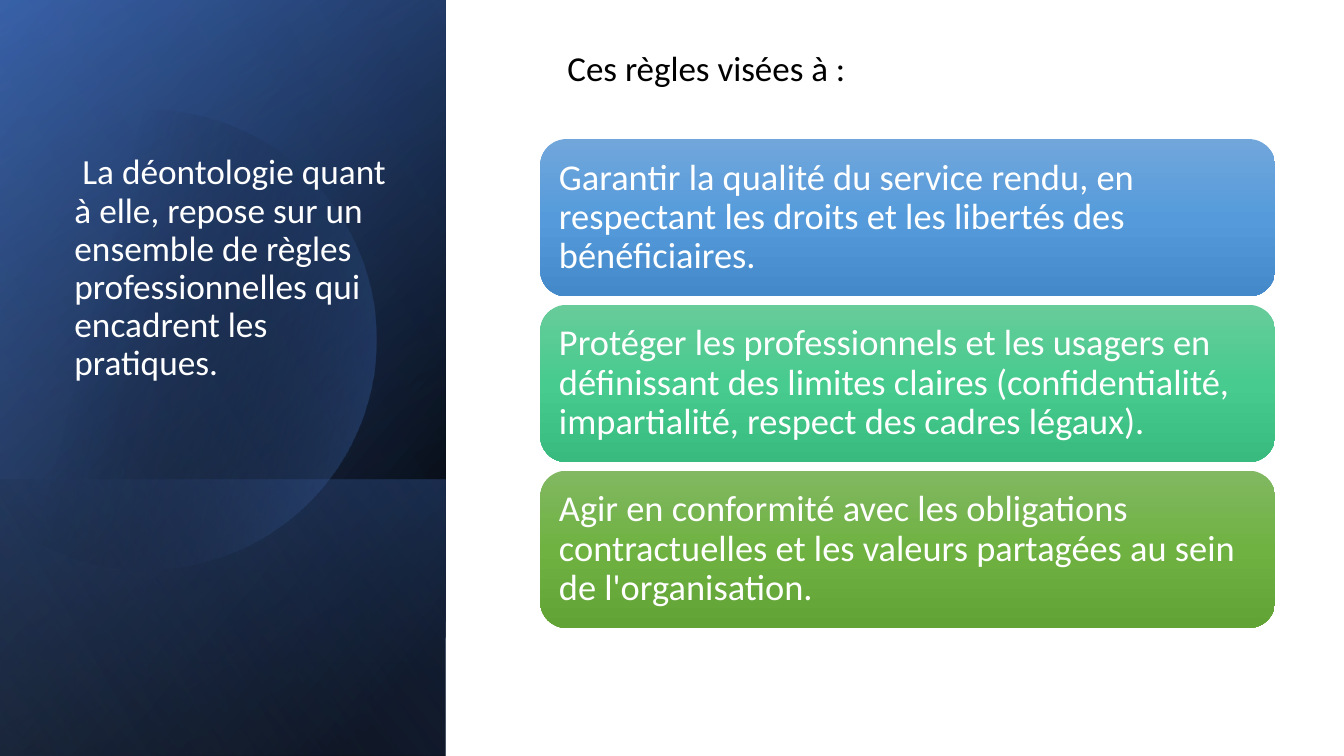
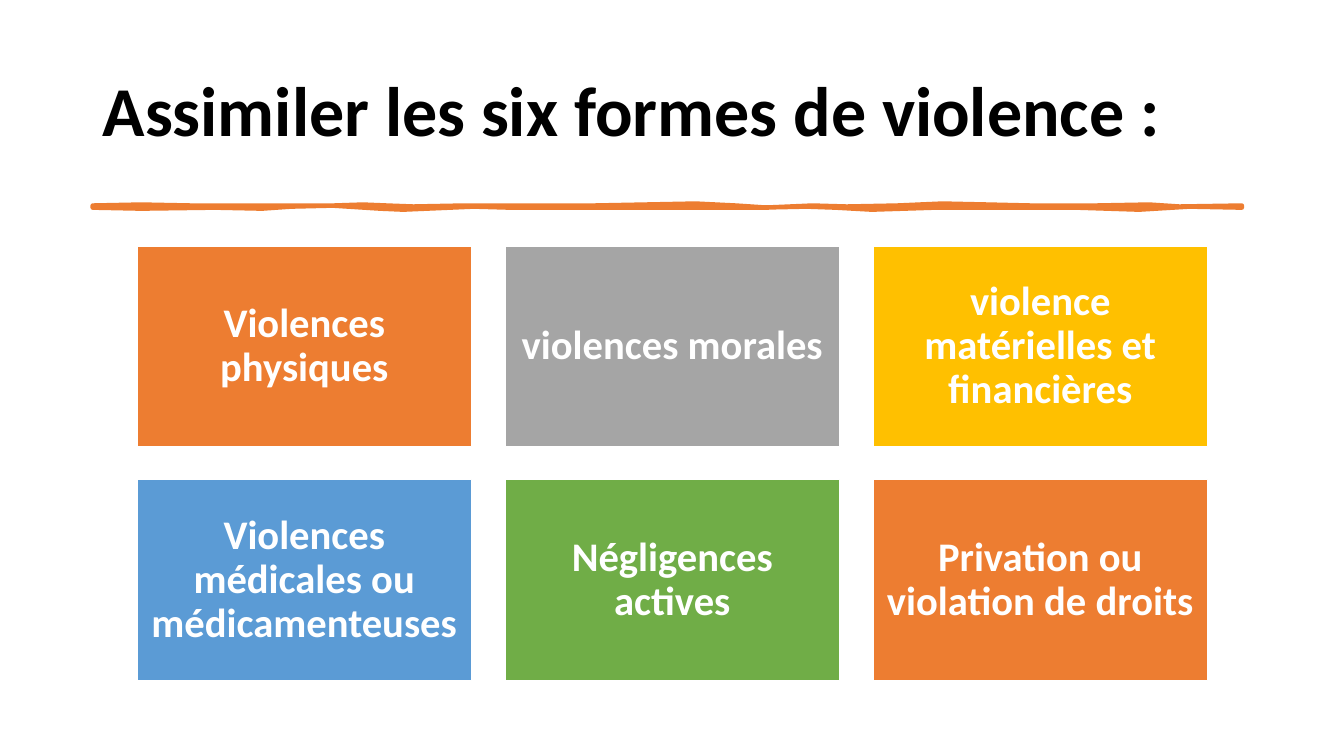
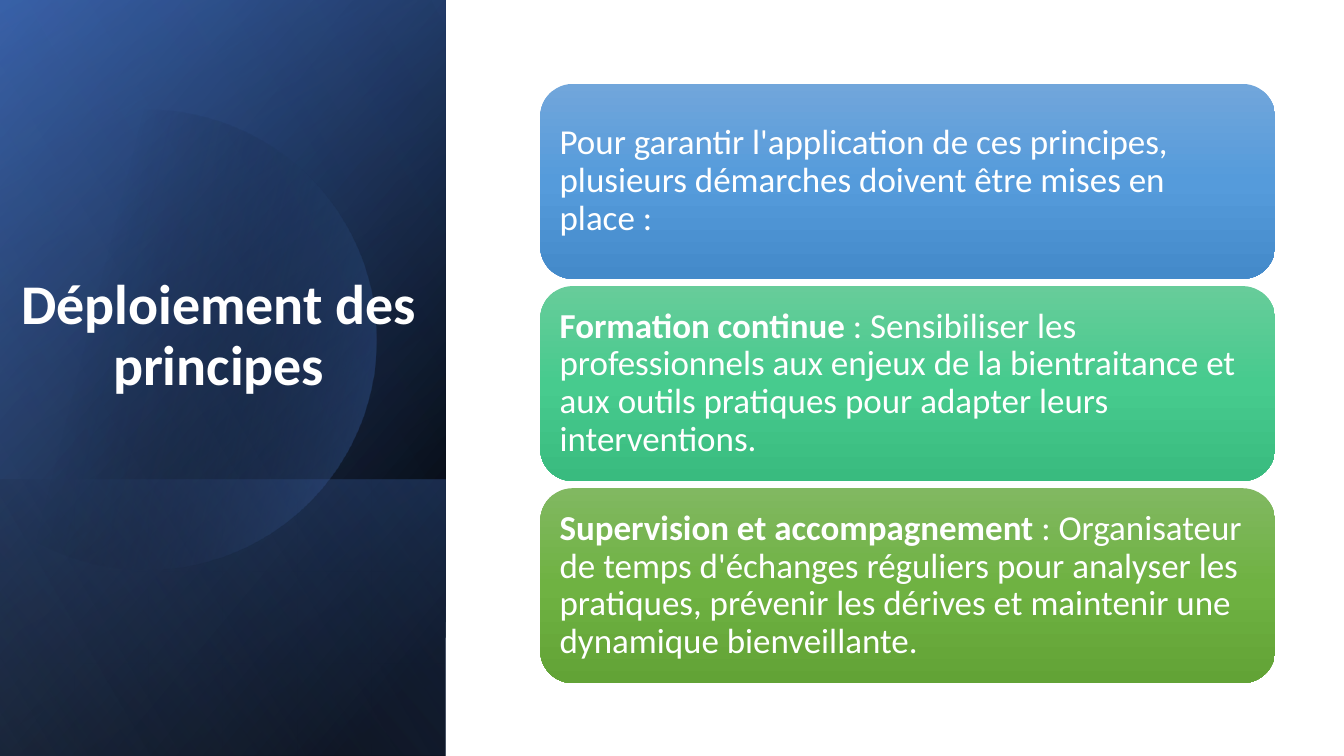
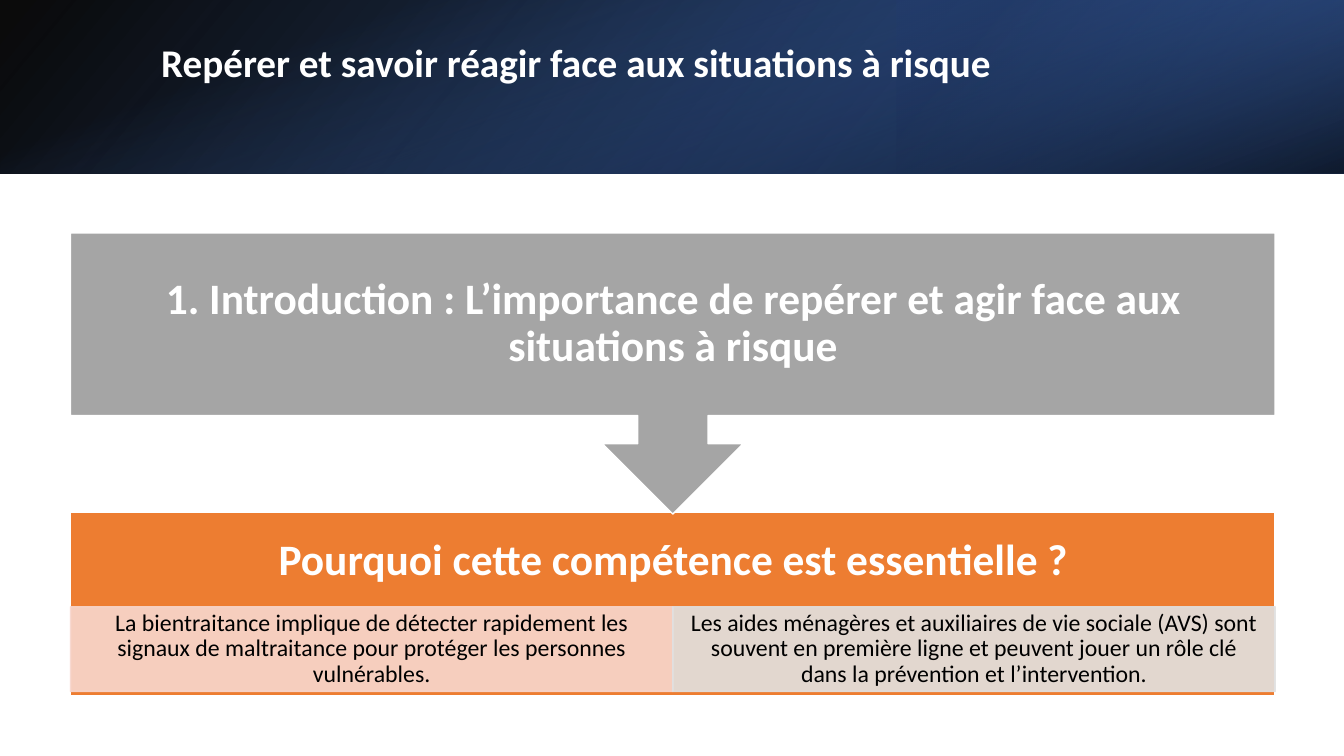
from dataclasses import dataclass
from math import acos, cos, sin
from typing import NamedTuple, Optional, Sequence

from lxml.etree import SubElement
from pptx import Presentation
from pptx.dml.color import RGBColor
from pptx.enum.shapes import MSO_SHAPE as Kind
from pptx.enum.text import MSO_ANCHOR as Anchor, PP_ALIGN as Align
from pptx.oxml.ns import qn
from pptx.util import Inches, Pt

WIDE = Inches(13.333)
HIGH = Inches(7.5)
FONT = "Calibri"

BLACK = RGBColor(0x00, 0x00, 0x00)
WHITE = RGBColor(0xFF, 0xFF, 0xFF)
BLUE = RGBColor(0x44, 0x72, 0xC4)
DEEP = RGBColor(0x2F, 0x55, 0x97)
NAVY = RGBColor(0x20, 0x38, 0x64)
PALE = RGBColor(0x8F, 0xAA, 0xDC)
SKY = RGBColor(0x5B, 0x9B, 0xD5)
ORANGE = RGBColor(0xED, 0x7D, 0x31)
GREY = RGBColor(0xA5, 0xA5, 0xA5)
GOLD = RGBColor(0xFF, 0xC0, 0x00)
GREEN = RGBColor(0x70, 0xAD, 0x47)
PEACH = RGBColor(0xF8, 0xD7, 0xCE)
SILVER = RGBColor(0xE1, 0xE1, 0xE1)


class Box(NamedTuple):
    """Shares of the slide's width and height, in percent."""
    left: float
    top: float
    wide: float
    high: float

    def emu(self) -> tuple[int, int, int, int]:
        return (across(self.left), down(self.top),
                across(self.wide), down(self.high))


class Stop(NamedTuple):
    at: int
    color: RGBColor
    alpha: int = 100


class Part(NamedTuple):
    text: str
    bold: bool = False


@dataclass(frozen=True)
class Style:
    size: float
    color: RGBColor = WHITE
    align: Align = Align.LEFT
    anchor: Anchor = Anchor.MIDDLE
    inset: tuple[float, float, float, float] = (0.1, 0.05, 0.1, 0.05)
    space: float = 0.9


@dataclass(frozen=True)
class Wash:
    box: Box
    stops: Sequence[Stop]
    angle: int
    turn: int = 0
    flip: bool = True


@dataclass(frozen=True)
class Tile:
    text: str
    fill: RGBColor


def across(share: float) -> int:
    return round(WIDE * share / 100)


def down(share: float) -> int:
    return round(HIGH * share / 100)


def ramp(shape, stops: Sequence[Stop], angle: int) -> None:
    shape.shadow.inherit = False
    shape.line.fill.background()
    shape.fill.background()
    props = shape._element.spPr
    blank = props.find(qn("a:noFill"))
    grad = SubElement(props, qn("a:gradFill"), rotWithShape="1")
    props.replace(blank, grad)
    rows = SubElement(grad, qn("a:gsLst"))
    for stop in stops:
        mark = SubElement(rows, qn("a:gs"), pos=str(stop.at * 1000))
        tint = SubElement(mark, qn("a:srgbClr"), val=str(stop.color))
        if stop.alpha < 100:
            SubElement(tint, qn("a:alpha"), val=str(stop.alpha * 1000))
    SubElement(grad, qn("a:lin"), ang=str(angle * 60000), scaled="0")


def paint(shape, fill: RGBColor, line: RGBColor = WHITE,
          width: float = 1, alpha: int = 100) -> None:
    shape.shadow.inherit = False
    shape.fill.solid()
    shape.fill.fore_color.rgb = fill
    shape.line.color.rgb = line
    shape.line.width = Pt(width)
    if alpha < 100:
        for tint in shape._element.spPr.iter(qn("a:srgbClr")):
            SubElement(tint, qn("a:alpha"), val=str(alpha * 1000))


def write(shape, parts: Sequence[Part], style: Style) -> None:
    frame = shape.text_frame
    frame.word_wrap = True
    frame.vertical_anchor = style.anchor
    (frame.margin_left, frame.margin_top, frame.margin_right,
     frame.margin_bottom) = map(Inches, style.inset)
    para = frame.paragraphs[0]
    para.alignment = style.align
    para.line_spacing = style.space
    for part in parts:
        run = para.add_run()
        run.text = part.text
        run.font.name = FONT
        run.font.size = Pt(style.size)
        run.font.bold = part.bold
        run.font.color.rgb = style.color


def label(slide, box: Box, parts: Sequence[Part], style: Style) -> None:
    write(slide.shapes.add_textbox(*box.emu()), parts, style)


def block(slide, box: Box, tile: Tile, style: Style,
          kind: Kind = Kind.RECTANGLE, line: RGBColor = WHITE,
          alpha: int = 100, bold: bool = True) -> None:
    shape = slide.shapes.add_shape(kind, *box.emu())
    paint(shape, tile.fill, line, alpha=alpha)
    write(shape, [Part(tile.text, bold)], style)


def wash(slide, item: Wash) -> None:
    left, top, wide, high = item.box.emu()
    if item.turn % 180:
        left, top = left + (wide - high) // 2, top + (high - wide) // 2
        wide, high = high, wide
    shape = slide.shapes.add_shape(Kind.RECTANGLE, left, top, wide, high)
    ramp(shape, item.stops, item.angle)
    shape.rotation = item.turn
    if item.flip:
        shape._element.spPr.find(qn("a:xfrm")).set("flipH", "1")


def outline(slide, points: Sequence[tuple[int, int]]):
    pen = slide.shapes.build_freeform(*points[0])
    pen.add_line_segments(points[1:], close=True)
    return pen.convert_to_shape()


SIDE = Box(0, 0, 33.15, 100)
FOOT = Box(0, 63.47, 33.15, 36.53)
BAND = Box(0, 0, 100, 22.93)

UNDER = (
    Wash(SIDE, (Stop(8, BLACK), Stop(100, DEEP)), 50, 90),
    Wash(SIDE, (Stop(0, BLACK, 0), Stop(99, BLUE, 46)), 30, 90),
    Wash(FOOT, (Stop(2, BLUE, 29), Stop(100, BLACK, 30)), 130, 90),
)
OVER = Wash(SIDE, (Stop(0, BLACK, 0), Stop(99, PALE, 11)), 120, 90)
DISC = (Stop(29, BLACK, 0), Stop(100, BLUE, 43))
HEAD = (
    Wash(BAND, (Stop(0, BLACK, 96), Stop(100, DEEP)), 140),
    Wash(Box(66.67, 0, 33.33, 22.93),
         (Stop(19, NAVY, 68), Stop(100, BLUE, 79)), 320, 180),
    Wash(BAND, (Stop(23, BLUE, 0), Stop(99, BLACK, 74)), 340, 90, False),
)

RAMPS = tuple(
    tuple(Stop(50 * i, RGBColor.from_string(tint))
          for i, tint in enumerate(row))
    for row in (("71A6DB", "559BDB", "448ACA"),
                ("67CC9A", "47CB8E", "39BB7F"),
                ("81B861", "6FB242", "62A336"))
)

WAVE_TOP = (
    (0.92, 2.04), (1.4, 2.03), (1.9, 2.04), (2.44, 2.04), (3.31, 2.04),
    (3.6, 2.03), (3.84, 2.04), (4.1, 2.05), (4.6, 2.04), (5.48, 2.04),
    (5.89, 2.04), (6.4, 2.03), (6.9, 2.02), (7.3, 2.04), (7.6, 2.06),
    (8.06, 2.04), (8.4, 2.05), (8.9, 2.04), (9.35, 2.02), (9.8, 2.03),
    (10.23, 2.04), (10.87, 2.04), (11.4, 2.03), (11.7, 2.05), (12.32, 2.04),
)
WAVE_LOW = (
    (12.32, 2.06), (11.8, 2.05), (11.3, 2.08), (10.68, 2.06), (9.81, 2.06),
    (9.28, 2.06), (8.65, 2.08), (8.29, 2.06), (8, 2.05), (7.53, 2.06),
    (6.35, 2.06), (5.7, 2.06), (5.06, 2.06), (4.7, 2.05), (4, 2.08),
    (3.77, 2.07), (3.3, 2.04), (2.89, 2.05), (2.6, 2.07), (2.13, 2.06),
    (1.4, 2.07), (0.92, 2.06),
)


def sidebar(slide, box: Box, part: Part, style: Style) -> None:
    for item in UNDER:
        wash(slide, item)
    mid_x, mid_y, radius = 1.45, 3.37, 2.28
    reach, steps = acos(-mid_x / radius), 90
    turns = [reach * (2 * i / steps - 1) for i in range(steps + 1)]
    disc = outline(slide, [(Inches(mid_x + radius * cos(t)),
                            Inches(mid_y + radius * sin(t))) for t in turns])
    ramp(disc, DISC, 14)
    wash(slide, OVER)
    label(slide, box, [part], style)


def cards(slide, top: float, high: float, pitch: float,
          texts: Sequence[Sequence[Part]], style: Style) -> None:
    for i, (parts, stops) in enumerate(zip(texts, RAMPS)):
        box = Box(40.2, top + i * pitch, 54.68, high)
        shape = slide.shapes.add_shape(Kind.ROUNDED_RECTANGLE, *box.emu())
        ramp(shape, stops, 90)
        write(shape, parts, style)


def rules(slide) -> None:
    sidebar(slide, Box(4.8, 16, 25.58, 35.33),
            Part(" La déontologie quant à elle, repose sur un ensemble de "
                 "règles professionnelles qui encadrent les pratiques."),
            Style(25.2, anchor=Anchor.BOTTOM))
    cards(slide, 18.4, 20.8, 21.93, (
        [Part("Garantir la qualité du service rendu, en respectant les "
              "droits et les libertés des bénéficiaires.")],
        [Part("Protéger les professionnels et les usagers en définissant "
              "des limites claires (confidentialité, impartialité, respect "
              "des cadres légaux).")],
        [Part("Agir en conformité avec les obligations contractuelles et "
              "les valeurs partagées au sein de l'organisation.")],
    ), Style(26, inset=(0.11,) * 4))
    label(slide, Box(41.48, 5.47, 29.93, 8), [Part("Ces règles visées à :")],
          Style(25, BLACK, anchor=Anchor.TOP, space=1.0))


def forms(slide) -> None:
    label(slide, Box(6.9, 5.33, 86.25, 19.33),
          [Part("Assimiler les six formes de violence :", True)],
          Style(50, BLACK))
    wave = outline(slide, [(Inches(x), Inches(y))
                           for x, y in WAVE_TOP + WAVE_LOW])
    paint(wave, ORANGE, ORANGE, 3.25)
    tiles = (
        Tile("Violences physiques", ORANGE),
        Tile("violences morales", GREY),
        Tile("violence matérielles et financières", GOLD),
        Tile("Violences médicales ou médicamenteuses", SKY),
        Tile("Négligences actives", GREEN),
        Tile("Privation ou violation de droits", ORANGE),
    )
    style = Style(29, align=Align.CENTER, inset=(0.12,) * 4)
    for i, tile in enumerate(tiles):
        row, col = divmod(i, 3)
        block(slide, Box(10.2 + col * 27.38, 32.53 + row * 30.93,
                         24.9, 26.53), tile, style)


def steps(slide) -> None:
    sidebar(slide, Box(0.6, 16, 31.35, 37.2),
            Part("Déploiement des principes", True),
            Style(40, align=Align.CENTER, anchor=Anchor.BOTTOM))
    cards(slide, 11.1, 25.78, 26.74, (
        [Part("Pour garantir l'application de ces principes, plusieurs "
              "démarches doivent être mises en place :")],
        [Part("Formation continue", True),
         Part(" : Sensibiliser les professionnels aux enjeux de la "
              "bientraitance et aux outils pratiques pour adapter leurs "
              "interventions.")],
        [Part("Supervision et accompagnement", True),
         Part(" : Organisateur de temps d'échanges réguliers pour analyser "
              "les pratiques, prévenir les dérives et maintenir une "
              "dynamique bienveillante.")],
    ), Style(25, inset=(0.1,) * 4))


def risks(slide) -> None:
    for item in HEAD:
        wash(slide, item)
    label(slide, Box(11.25, 2.13, 82.35, 12.8),
          [Part("Repérer et savoir réagir face aux situations à risque",
                True)], Style(28))
    left, wide = 5.25, 89.63
    block(slide, Box(left, 67.73, wide, 24.27),
          Tile("Pourquoi cette compétence est essentielle ?", ORANGE),
          Style(31, align=Align.CENTER, inset=(0.24, 0.24, 0.24, 1.08)))
    cells = (
        Tile("La bientraitance implique de détecter rapidement les signaux "
             "de maltraitance pour protéger les personnes vulnérables.",
             PEACH),
        Tile("Les aides ménagères et auxiliaires de vie sociale (AVS) sont "
             "souvent en première ligne et peuvent jouer un rôle clé dans "
             "la prévention et l’intervention.", SILVER),
    )
    small = Style(17, BLACK, Align.CENTER, inset=(0.13, 0.02, 0.13, 0.02))
    half = wide / len(cells)
    for i, cell in enumerate(cells):
        block(slide, Box(left + i * half, 80.27, half, 11.2), cell, small,
              line=cell.fill, alpha=90, bold=False)
    block(slide, Box(left, 30.8, wide, 37.2),
          Tile("1. Introduction : L’importance de repérer et agir face aux "
               "situations à risque", GREY),
          Style(31, align=Align.CENTER, inset=(0.24,) * 4),
          Kind.DOWN_ARROW_CALLOUT)


def main() -> None:
    deck = Presentation()
    deck.slide_width, deck.slide_height = WIDE, HIGH
    for draw in (rules, forms, steps, risks):
        draw(deck.slides.add_slide(deck.slide_layouts[6]))
    deck.save("out.pptx")


if __name__ == "__main__":
    main()
